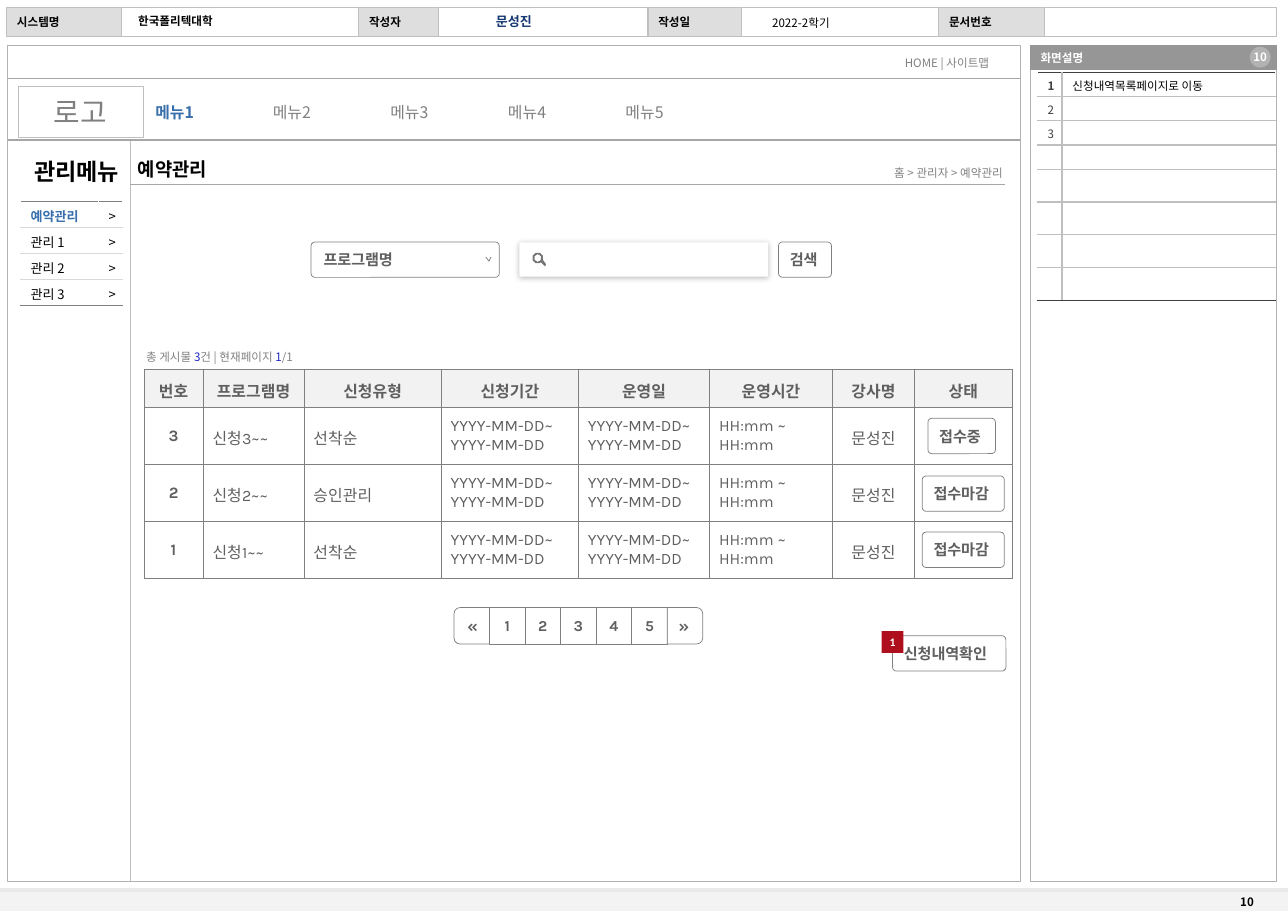
from dataclasses import dataclass, field, replace
from math import cos, radians, sin
from typing import Callable, Optional

from lxml.etree import SubElement
from pptx import Presentation
from pptx.dml.color import RGBColor
from pptx.enum.shapes import MSO_CONNECTOR, MSO_SHAPE as Shape
from pptx.enum.text import MSO_ANCHOR as Anchor, MSO_AUTO_SIZE as AutoSize, PP_ALIGN as Align
from pptx.oxml.ns import qn
from pptx.util import Inches, Pt

COLUMNS, ROWS = 1238.2, 875.5  # grid cells across and down the slide
CELL = Inches(0.01)
NOTO, KARLA = "Noto Sans CJK KR", "Karla"
BLACK, WHITE, GRAY, INK, SILVER, BLUE = "000000", "FFFFFF", "808080", "5F5F5F", "BFBFBF", "376EAB"


@dataclass(frozen=True)
class Style:
    size: float = 8
    color: str = BLACK
    bold: bool = False
    name: str = NOTO


@dataclass(frozen=True)
class Block:
    """A shape or text at left, top, width, height in grid cells."""
    box: tuple
    runs: tuple = ()
    shape: Optional[Shape] = None
    fill: Optional[str] = None
    line: Optional[str] = None
    weight: float = 0.75
    align: Align = Align.LEFT
    insets: tuple = (10, 5, 10, 5)
    wrap: bool = True
    adjust: Optional[float] = None


@dataclass(frozen=True)
class CellLook:
    style: Style
    insets: tuple
    align: Align = Align.LEFT
    fill: Optional[str] = None
    edges: dict = field(default_factory=dict)
    weight: float = 1


BOLD, PLAIN, MUTED, COUNT = Style(bold=True), Style(), Style(color=GRAY), Style(color="1F27C3")
ACTION = Style(10.5, INK, True, KARLA)


def rgb(color: str) -> RGBColor:
    return RGBColor.from_string(color)


def span(cells: float) -> int:
    return round(cells * CELL)


def write(paragraph, runs: tuple, align: Align) -> None:
    paragraph.alignment = align
    for text, style in runs:
        run = paragraph.add_run()
        run.text = text
        formats = {"size": Pt(style.size), "bold": style.bold, "name": style.name}
        for key, value in formats.items():
            setattr(run.font, key, value)
        run.font.color.rgb = rgb(style.color)
        SubElement(run.font._element, qn("a:ea"), typeface=style.name)


def set_frame(frame, insets: tuple, wrap: bool) -> None:
    left, top, right, bottom = map(span, insets)
    formats = {"margin_left": left, "margin_top": top, "margin_right": right, "margin_bottom": bottom,
               "word_wrap": wrap, "vertical_anchor": Anchor.MIDDLE, "auto_size": AutoSize.NONE}
    for key, value in formats.items():
        setattr(frame, key, value)


def paint(shape, fill: Optional[str], line: Optional[str], weight: float) -> None:
    shape.shadow.inherit = False
    if fill:
        shape.fill.solid()
        shape.fill.fore_color.rgb = rgb(fill)
    else:
        shape.fill.background()
    if line:
        shape.line.color.rgb = rgb(line)
        shape.line.width = Pt(weight)
    else:
        shape.line.fill.background()


def add_block(slide, block: Block):
    box = map(span, block.box)
    if block.shape is None:
        drawn = slide.shapes.add_textbox(*box)
    else:
        drawn = slide.shapes.add_shape(block.shape, *box)
        paint(drawn, block.fill, block.line, block.weight)
        if block.adjust is not None:
            drawn.adjustments[0] = block.adjust
    if block.runs:
        set_frame(drawn.text_frame, block.insets, block.wrap)
        write(drawn.text_frame.paragraphs[0], block.runs, block.align)
    return drawn


def add_rule(slide, x1: float, y1: float, x2: float, y2: float, color: str, weight: float) -> None:
    rule = slide.shapes.add_connector(MSO_CONNECTOR.STRAIGHT, *map(span, (x1, y1, x2, y2)))
    rule.line.color.rgb = rgb(color)
    rule.line.width = Pt(weight)
    SubElement(rule._element.spPr, qn("a:effectLst"))


def add_outline(slide, contours: list, closed: bool):
    first, *others = contours
    builder = slide.shapes.build_freeform(*first[0], scale=CELL)
    builder.add_line_segments(first[1:], close=closed)
    for contour in others:
        builder.move_to(*contour[0])
        builder.add_line_segments(contour[1:], close=closed)
    return builder.convert_to_shape()


def add_grid(slide, left: float, top: float, columns: list, rows: list, texts: list,
             look: Callable[[int, int], CellLook]) -> None:
    table = slide.shapes.add_table(len(rows), len(columns), span(left), span(top),
                                   span(sum(columns)), span(sum(rows))).table
    table.first_row = table.horz_banding = False
    for column, width in zip(table.columns, columns):
        column.width = span(width)
    for r, height in enumerate(rows):
        table.rows[r].height = span(height)
        for c, text in enumerate(texts[r]):
            cell, form = table.cell(r, c), look(r, c)
            names = ("margin_left", "margin_top", "margin_right", "margin_bottom")
            for name, inset in zip(names, form.insets):
                setattr(cell, name, span(inset))
            cell.vertical_anchor = Anchor.MIDDLE
            paragraph = cell.text_frame.paragraphs[0]
            write(paragraph, ((text, form.style),) if text else (), form.align)
            if not text:
                SubElement(paragraph._p, qn("a:endParaRPr"), sz=str(round(form.style.size * 100)))
            for side in (s for s in "LRTB" if s in form.edges):
                edge = SubElement(cell._tc.get_or_add_tcPr(), qn(f"a:ln{side}"), w=str(Pt(form.weight)))
                SubElement(SubElement(edge, qn("a:solidFill")), qn("a:srgbClr"), val=form.edges[side])
            if form.fill:
                cell.fill.solid()
                cell.fill.fore_color.rgb = rgb(form.fill)
            else:
                cell.fill.background()


def side_look(r: int, c: int) -> CellLook:
    style = Style(9, BLUE, True) if (r, c) == (0, 0) else Style(9)
    edges = {"L": WHITE, "R": WHITE, "T": "D9D9D9" if r else GRAY, "B": GRAY if r == 3 else "D9D9D9"}
    return CellLook(style, (10, 4, 7, 1), Align.RIGHT if c else Align.LEFT, edges=edges)


def notes_look(r: int, c: int) -> CellLook:
    edges = {"L" if c else "R": SILVER, "T": SILVER if r else "404040", "B": "404040" if r == 7 else SILVER}
    return CellLook(PLAIN if c else Style(color="404040", bold=r == 0), (10, 4, 0, 2), fill=WHITE, edges=edges)


def booking_look(r: int, c: int) -> CellLook:
    align = Align.CENTER if r == 0 or c in (0, 6) else Align.LEFT
    insets = (9, 12, 9, 5) if r == 0 or c in (1, 2, 6) else (9, 9, 9, 9)
    return CellLook(Style(11, INK, r == 0 or c == 0, KARLA), insets, align,
                    None if r else "F2F2F2", dict.fromkeys("LRTB", GRAY), 0.5)


def ring(radius: float, start: int, stop: int, step: int) -> list:
    return [(517 + radius * cos(radians(a)), 248 + radius * sin(radians(a))) for a in range(start, stop, step)]


def button(box: tuple, label: str) -> Block:
    return Block(box, ((label, ACTION),), Shape.ROUNDED_RECTANGLE, WHITE, GRAY, 0.5, wrap=False, adjust=0.11)


def main() -> None:
    deck = Presentation()
    deck.slide_width, deck.slide_height = span(COLUMNS), span(ROWS)
    slide = deck.slides.add_slide(deck.slide_layouts[5])
    title = slide.shapes.title
    title.left, title.top, title.width, title.height = map(span, (122.5, 146.5, 93, 32))
    set_frame(title.text_frame, (10, 5, 10, 5), False)
    write(title.text_frame.paragraphs[0], (("예약관리", Style(13, bold=True)),), Align.LEFT)

    rect = Shape.RECTANGLE
    header = [Block((left, 7, width, 28), ((label, BOLD),), rect, "DEDEDE", "C0C0C0")
              for left, width, label in ((6.5, 110, "시스템명"), (345, 77, "작성자"),
                                         (623, 90, "작성일"), (902.5, 102, "문서번호"))]
    blocks = [
        Block((0, 855.4, COLUMNS, 20), shape=rect, fill="F3F3F3"),
        Block((7.5, 44, 973.5, 803.4), shape=rect, line="B2B2B2"),
        Block((990.5, 67, 237, 780.4), shape=rect, line="B2B2B2", weight=0.5),
        Block((6.5, 7.5, 1221, 28), shape=rect, fill=WHITE, line="C0C0C0"),
        *header,
        Block((1182.4, 855, 55, 24), (("10", BOLD),)),
        Block((423, 8, 142, 25), (("문성진", Style(9, "163873", True)),), align=Align.CENTER),
        Block((123, 8, 222, 24), (("한국폴리텍대학", BOLD),)),
        Block((731, 10, 78, 24), (("2022-2학기", PLAIN),), align=Align.CENTER, wrap=False),
        Block((990.5, 44, 237, 23), (("화면설명", replace(BOLD, color=WHITE)),), rect, "969696", "969696", 0.5),
        Block((1201.5, 45, 20, 20), (("10", replace(BOLD, color=WHITE)),), Shape.OVAL, "B2B2B2",
              align=Align.CENTER, insets=(0, 0, 0, 0), wrap=False),
        Block((7.5, 146, 132, 37), (("관리메뉴", Style(16, bold=True)),), align=Align.CENTER),
        Block((832, 154.5, 142, 24), (("홈 > 관리자 > 예약관리", MUTED),), align=Align.RIGHT),
        Block((860, 48.5, 106, 24), (("HOME | 사이트맵", MUTED),), wrap=False),
        Block((17.4, 82.6, 120, 49), (("로고", Style(20, GRAY)),), rect, WHITE, SILVER, 0.25, Align.CENTER),
        Block((130.6, 331, 661, 24), (("총 게시물 ", MUTED), ("3", COUNT), ("건 | 현재페이지 ", MUTED),
                                      ("1", COUNT), ("/1", MUTED))),
    ]
    for block in blocks:
        add_block(slide, block)

    for rule in ((0, 855.4, COLUMNS, 855.4, "EAEAEA", 3), (125.4, 135, 125.4, 847, SILVER, 0.25),
                 (125.4, 177.5, 966.5, 177.5, "A6A6A6", 0.75), (7.5, 134.6, 981, 134.6, "A6A6A6", 0.75),
                 (7.5, 75.5, 981, 75.5, "A6A6A6", 0.75)):
        add_rule(slide, *rule)

    others = "".join(f"\t메뉴{n}" for n in range(2, 6))
    menu = add_block(slide, Block((139.4, 93, 652, 29),
                                  (("메뉴1", Style(11, BLUE, True)), (others, Style(11, GRAY)))))
    stops = SubElement(menu.text_frame.paragraphs[0]._p.get_or_add_pPr(), qn("a:tabLst"))
    for n in range(1, 5):
        SubElement(stops, qn("a:tab"), pos=str(span(113 * n)), algn="l")

    side_items = ["예약관리", *(f"관리 {n}" for n in range(1, 4))]
    add_grid(slide, 19.5, 193.4, [75, 23], [25] * 4, [(item, ">") for item in side_items], side_look)
    notes = [("1", "신청내역목록페이지로 이동"), ("2", ""), ("3", "")] + [("", "")] * 5
    add_grid(slide, 997, 69.5, [24, 205], [23.3] * 4 + [31.5] * 4, notes, notes_look)
    period, hours = "YYYY-MM-DD~ YYYY-MM-DD", "HH:mm ~ HH:mm"
    bookings = [("번호", "프로그램명", "신청유형", "신청기간", "운영일", "운영시간", "강사명", "상태")]
    bookings += [(n, f"신청{n}~~", kind, period, period, hours, "문성진", "")
                 for n, kind in (("3", "선착순"), ("2", "승인관리"), ("1", "선착순"))]
    add_grid(slide, 138.4, 355, [57, 97, 132, 132, 126, 118, 79, 94], [36.5] + [54.8] * 3, bookings, booking_look)

    search = add_block(slide, Block((499.4, 233, 239, 33), shape=Shape.ROUNDED_RECTANGLE, fill=WHITE, adjust=0.05))
    shadow = SubElement(search._element.spPr.find(qn("a:effectLst")), qn("a:outerShdw"),
                        blurRad=str(Pt(4)), dist=str(Pt(1)), dir="5400000", algn="ctr", rotWithShape="0")
    SubElement(SubElement(shadow, qn("a:srgbClr"), val=BLACK), qn("a:alpha"), val="25000")
    lens = [ring(5, 55, 386, 15) + [(525, 254.5), (523.5, 256)], ring(3.5, 360, 0, -15)]
    paint(add_outline(slide, lens, True), "757575", None, 0)
    program = replace(button((299, 232.6, 181, 34), "프로그램명"), insets=(11, 7, 30, 7))
    for block in (program, button((748.4, 232.5, 51, 34), "검색"), button((892, 402, 65, 34), "접수중"),
                  button((886.5, 457.4, 79, 34), "접수마감"), button((886.5, 511.4, 79, 34), "접수마감"),
                  button((858, 611, 109, 34), "신청내역확인"),
                  Block((847.5, 606.5, 21, 21), (("1", Style(8, WHITE, True, "Calibri")),), rect, "AF0F1D",
                        align=Align.CENTER, insets=(0, 0, 0, 0))):
        add_block(slide, block)
    paint(add_outline(slide, [[(467, 247), (469.5, 251), (472, 247)]], False), None, GRAY, 0.5)

    page = Block((470.5, 584, 34.2, 35), (), rect, WHITE, GRAY, 0.5, Align.CENTER)
    for n in range(5):
        add_block(slide, replace(page, box=(470.5 + 34.2 * n, 584, 34.2, 35), runs=((str(n + 1), ACTION),)))
    for left, mark, turn, flow in ((436, "«", 270, "vert"), (641, "»", 90, "vert270")):
        end = add_block(slide, replace(page, box=(left, 584.4, 35, 34), shape=Shape.ROUND_2_SAME_RECTANGLE,
                                       runs=((mark, replace(ACTION, size=12)),)))
        end.rotation = turn
        end.text_frame._txBody.bodyPr.set("vert", flow)

    deck.save("out.pptx")


if __name__ == "__main__":
    main()
